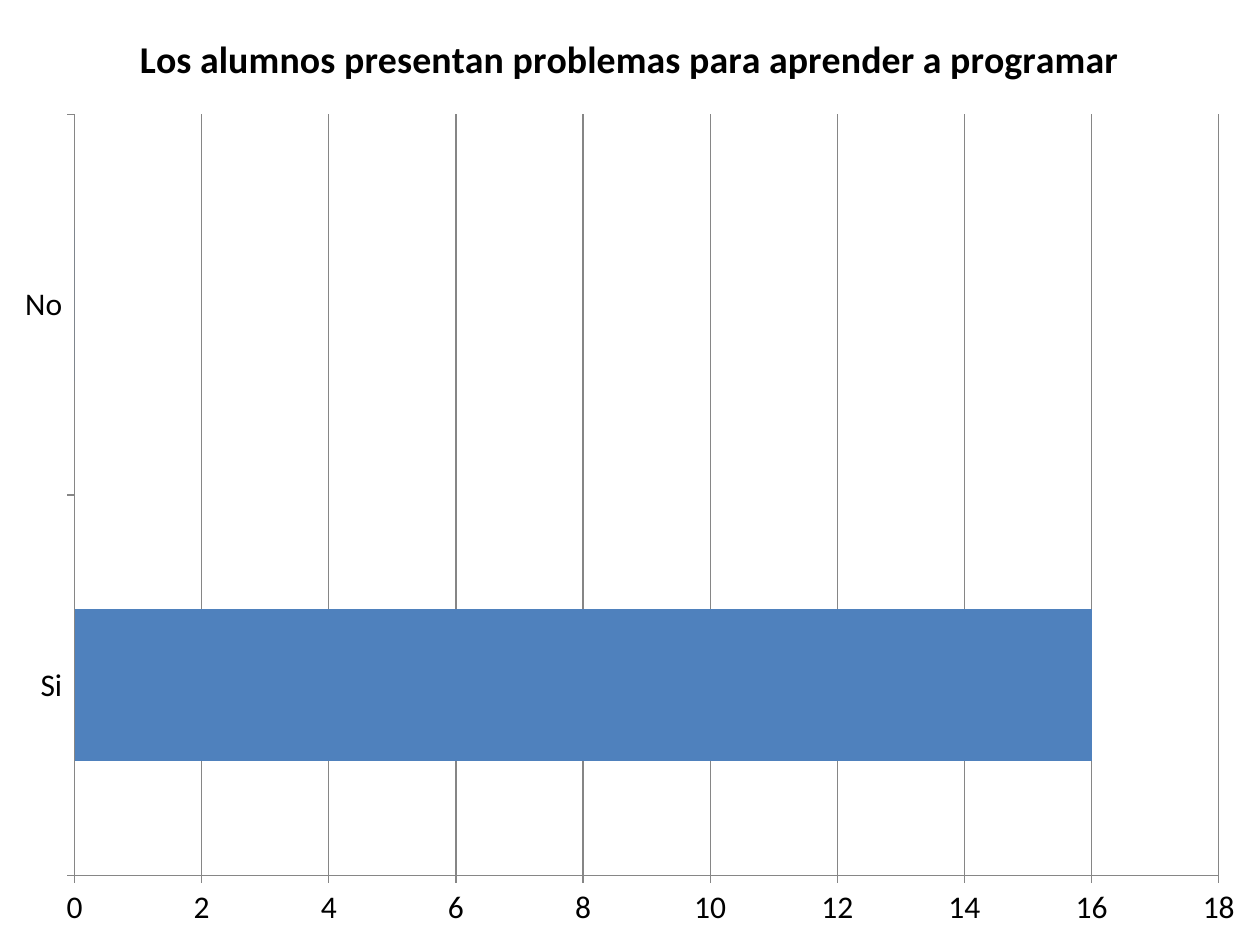
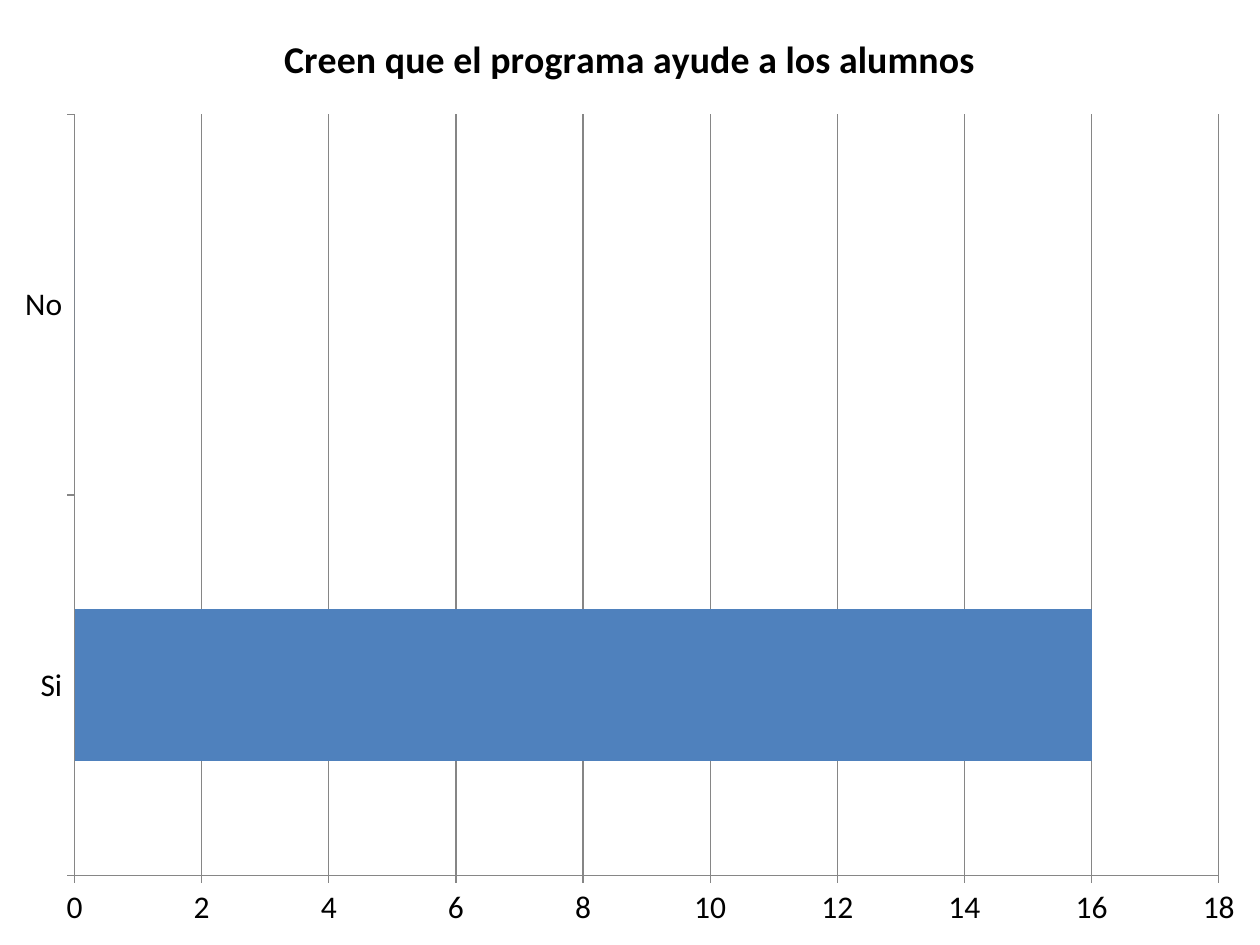
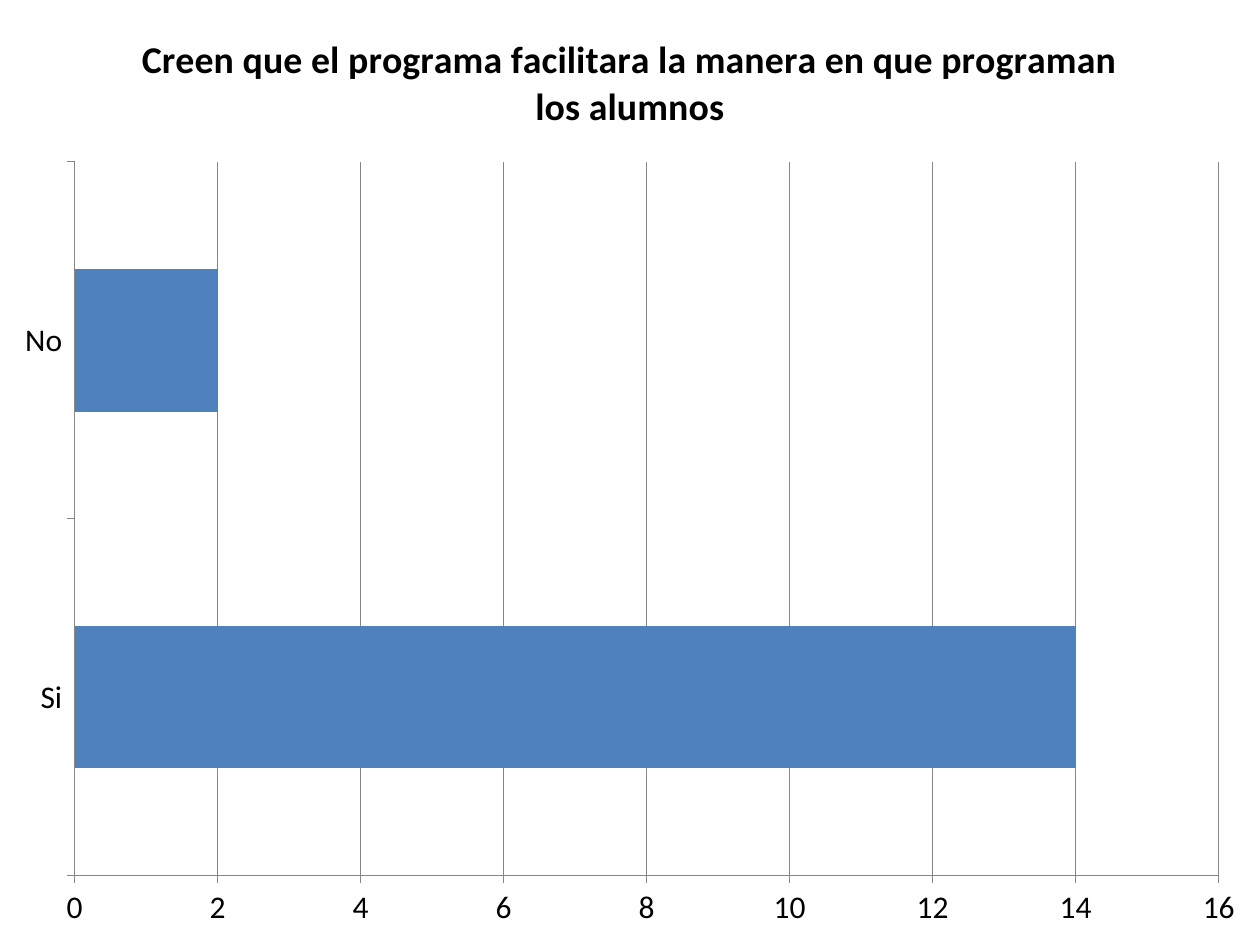
from pptx import Presentation
from pptx import util as u
from pptx.chart.data import CategoryChartData
from pptx.dml.color import RGBColor
from pptx.enum import chart as ch

COLORS = {"text": "000000", "bar": "4F81BD", "line": "868686"}
FONT = "Calibri"
WIDTH, HEIGHT = u.Inches(10), u.Inches(7.5)
ANSWERS = ["Si", "No"]
QUESTIONS = [
    ("Los alumnos presentan problemas para aprender a programar", (16, 0), 18),
    ("Creen que el programa ayude a los alumnos", (16, 0), 18),
    ("Creen que el programa facilitara la manera en que programan los alumnos", (14, 2), 16),
]


def color(name):
    return RGBColor.from_string(COLORS[name])


def style_font(font, size, bold=False):
    font.name = FONT
    font.size = u.Pt(size)
    font.bold = bold
    font.color.rgb = color("text")


def style_line(line):
    line.color.rgb = color("line")
    line.width = u.Pt(0.75)


def style_axis(axis):
    axis.major_tick_mark = ch.XL_TICK_MARK.OUTSIDE
    axis.minor_tick_mark = ch.XL_TICK_MARK.NONE
    style_line(axis.format.line)


def style_title(chart, title):
    chart.has_title = True
    tf = chart.chart_title.text_frame
    tf.text = title
    style_font(tf.paragraphs[0].runs[0].font, 21.6, bold=True)
    chart.chart_title.include_in_layout = False


def add_answer_chart(s, title, votes, maximum):
    data = CategoryChartData(number_format="General")
    data.categories = ANSWERS
    data.add_series("Series 1", votes)
    chart = s.shapes.add_chart(
        ch.XL_CHART_TYPE.BAR_STACKED, 0, 0, WIDTH, HEIGHT, data).chart
    style_font(chart.font, 18)
    chart.has_legend = False
    style_title(chart, title)

    plot = chart.plots[0]
    plot.gap_width = 150
    plot.overlap = 100
    plot.vary_by_categories = False
    fill = plot.series[0].format.fill
    fill.solid()
    fill.fore_color.rgb = color("bar")

    style_axis(chart.category_axis)
    chart.category_axis.has_major_gridlines = False
    axis = chart.value_axis
    style_axis(axis)
    axis.minimum_scale = 0
    axis.maximum_scale = maximum
    axis.major_unit = 2
    axis.has_major_gridlines = True
    style_line(axis.major_gridlines.format.line)


def main():
    prs = Presentation()
    prs.slide_width, prs.slide_height = WIDTH, HEIGHT
    blank = prs.slide_layouts[6]
    for title, votes, maximum in QUESTIONS:
        add_answer_chart(prs.slides.add_slide(blank), title, votes, maximum)
    prs.save("out.pptx")


if __name__ == "__main__":
    main()
